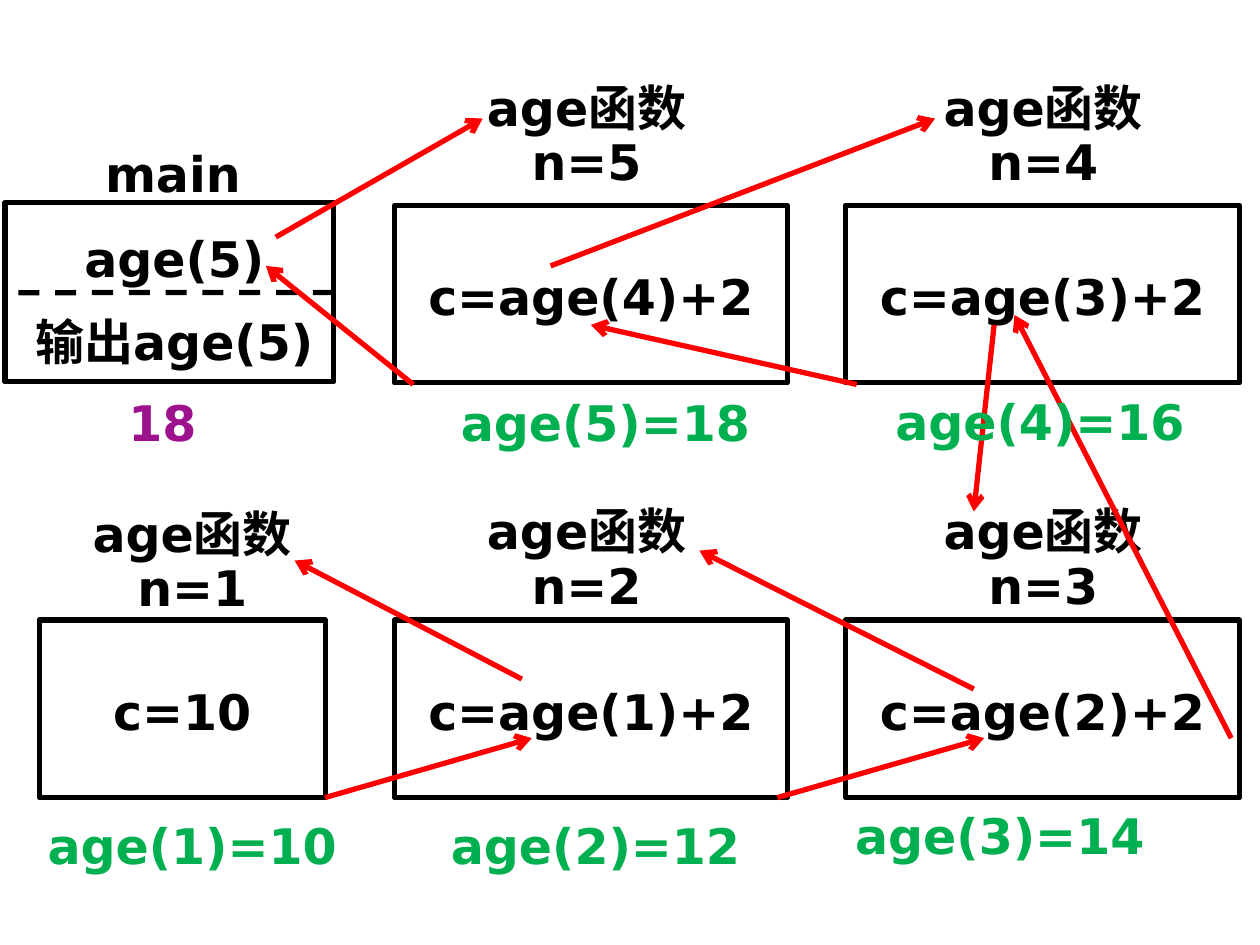
from lxml.etree import SubElement
from pptx import Presentation
from pptx.dml.color import RGBColor
from pptx.enum.dml import MSO_LINE
from pptx.enum.shapes import MSO_CONNECTOR, MSO_SHAPE
from pptx.enum.text import MSO_ANCHOR, PP_ALIGN
from pptx.oxml.ns import qn
from pptx.util import Cm, Pt

BLACK, RED, GREEN, PURPLE = "000000", "FF0000", "00B050", "9D138D"
BOX_HEIGHT = 3.58
TIGHT = Pt(24)

# Each call: n, statement, box left, top and width, label left, top and width
CALLS = [
    (5, "c=age(4)+2", 7.95, 4.14, 7.92, 7.95, 1.78, 7.75),
    (4, "c=age(3)+2", 17.04, 4.14, 7.95, 17.07, 1.78, 7.92),
    (2, "c=age(1)+2", 7.95, 12.5, 7.92, 7.95, 10.31, 7.75),
    (3, "c=age(2)+2", 17.04, 12.5, 7.95, 17.07, 10.31, 7.92),
    (1, "c=10", 0.79, 12.5, 5.77, 0, 10.36, 7.75),
]

# Start x, y and end x, y
CALL_ARROWS = [
    (5.56, 4.78, 9.73, 2.39),
    (11.1, 5.36, 18.85, 2.39),
    (20.04, 6.55, 19.63, 10.31),
    (19.63, 13.89, 14.1, 11.1),
    (10.52, 13.69, 5.94, 11.3),
]
RETURN_ARROWS = [
    (6.55, 16.08, 10.72, 14.88),
    (15.67, 16.08, 19.84, 14.88),
    (24.82, 14.88, 20.45, 6.35),
    (17.27, 7.75, 11.91, 6.55),
    (8.33, 7.75, 5.36, 5.36),
]

# Text, left, top
RESULTS = [
    ("age(1)=10", 0, 16.66),
    ("age(2)=12", 8.13, 16.66),
    ("age(3)=14", 16.28, 16.46),
    ("age(4)=16", 17.09, 8.1),
    ("age(5)=18", 8.33, 8.13),
]


def color(value):
    return RGBColor.from_string(value)


def write(shape, text, ink=BLACK, spacing=1.2):
    frame = shape.text_frame
    frame.text = text
    frame.word_wrap = True
    frame.vertical_anchor = MSO_ANCHOR.TOP
    for index, paragraph in enumerate(frame.paragraphs):
        paragraph.alignment = PP_ALIGN.CENTER
        paragraph.line_spacing = spacing
        paragraph.space_before = Pt(7 if index else 0)
        for run in paragraph.runs:
            run.font.name = "DejaVu Sans"
            run.font.size = Pt(28)
            run.font.bold = True
            run.font.color.rgb = color(ink)


def add_text(slide, text, left, top, width, height, ink=BLACK, spacing=1.2):
    shape = slide.shapes.add_textbox(Cm(left), Cm(top), Cm(width), Cm(height))
    write(shape, text, ink, spacing)
    return shape


def add_box(slide, left, top, width, height):
    shape = slide.shapes.add_shape(
        MSO_SHAPE.RECTANGLE, Cm(left), Cm(top), Cm(width), Cm(height))
    shape.shadow.inherit = False
    shape.fill.background()
    shape.line.color.rgb = color(BLACK)
    shape.line.width = Pt(3)
    return shape


def add_line(slide, points, ink):
    connector = slide.shapes.add_connector(
        MSO_CONNECTOR.STRAIGHT, *[Cm(value) for value in points])
    connector.line.color.rgb = color(ink)
    connector.line.width = Pt(3)
    SubElement(connector._element.spPr, qn("a:effectLst"))
    return connector


def add_arrow(slide, points):
    connector = add_line(slide, points, RED)
    SubElement(connector.line._get_or_add_ln(), qn("a:tailEnd"), type="arrow")


def add_main_function(slide):
    box = add_box(slide, 0.1, 4.09, 6.63, 3.61)
    body = add_text(slide, "age(5)\n输出age(5)", 0.2, 4.11, 6.63, 3.61)
    frame = body.text_frame
    frame.margin_left = frame.margin_right = 0
    frame.margin_top = frame.margin_bottom = 0
    frame.vertical_anchor = MSO_ANCHOR.MIDDLE
    add_text(slide, "main", 1.4, 2.54, 4.17, 1.78)
    divider = add_line(slide, (6.73, 5.9, 0.2, 5.9), BLACK)
    divider.line.dash_style = MSO_LINE.DASH
    divider.begin_connect(box, 3)


def add_call(slide, n, statement, left, top, width,
             label_left, label_top, label_width):
    box = add_box(slide, left, top, width, BOX_HEIGHT)
    box.text_frame.margin_top = Cm(1)
    write(box, statement)
    add_text(slide, f"age函数\nn={n}", label_left, label_top, label_width, 2.3,
             spacing=TIGHT)


def main():
    presentation = Presentation()
    presentation.slide_width, presentation.slide_height = Cm(25.4), Cm(19.05)
    slide = presentation.slides.add_slide(presentation.slide_layouts[6])

    # Function frames
    add_main_function(slide)
    for call in CALLS:
        add_call(slide, *call)

    # Calls going down and values coming back
    for points in CALL_ARROWS + RETURN_ARROWS:
        add_arrow(slide, points)

    # Returned values and printed output
    for text, left, top in RESULTS:
        add_text(slide, text, left, top, 7.75, 1.57, GREEN, TIGHT)
    add_text(slide, "18", 0.99, 8.13, 4.57, 1.19, PURPLE, TIGHT)

    presentation.save("out.pptx")


if __name__ == "__main__":
    main()
